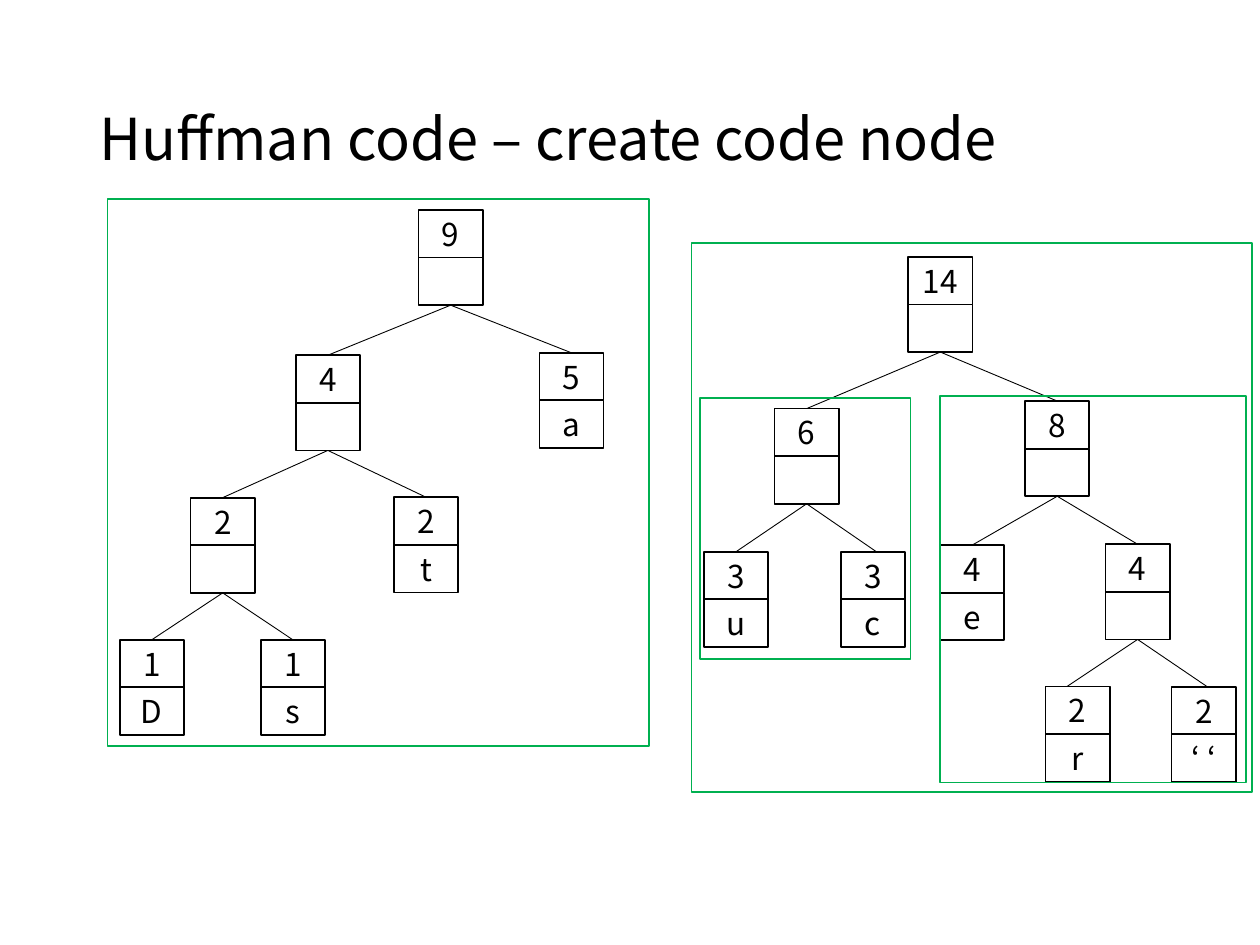
from dataclasses import dataclass

from lxml.etree import SubElement
from pptx import Presentation
from pptx.dml.color import RGBColor
from pptx.enum.shapes import MSO_CONNECTOR, MSO_SHAPE
from pptx.enum.text import MSO_ANCHOR, MSO_AUTO_SIZE, PP_ALIGN
from pptx.oxml.ns import qn
from pptx.util import Pt


@dataclass(frozen=True)
class Theme:
    """Colours, type sizes and line widths."""
    font: str = "Noto Sans CJK KR"
    ink: RGBColor = RGBColor(0, 0, 0)
    paper: RGBColor = RGBColor(255, 255, 255)
    frame: RGBColor = RGBColor(0x00, 0xB0, 0x50)
    title_size: float = 33
    node_size: float = 18
    outline: float = 1
    edge: float = 0.5


@dataclass(frozen=True)
class Node:
    """A Huffman tree node; edge_shift moves the end of its incoming edge."""
    count: str
    symbol: str
    left: float
    top: float
    children: tuple = ()
    edge_shift: float = 0


CELL_WIDTH, CELL_HEIGHT = 36.7, 27.2

LEFT_TREE = Node("9", "", 239.2, 120, (
    Node("4", "", 169, 203, (
        Node("2", "", 108.9, 284.4, (
            Node("1", "D", 68.4, 365.6),
            Node("1", "s", 149, 365.6))),
        Node("2", "t", 225.2, 284.2))),
    Node("5", "a", 308.2, 201.6)))

RIGHT_TREE = Node("14", "", 519, 146.8, (
    Node("6", "", 442.6, 233.5, (
        Node("3", "u", 402.2, 315.3),
        Node("3", "c", 480.5, 315.3, edge_shift=2))),
    Node("8", "", 585.8, 229.2, (
        Node("4", "e", 537.2, 311.5),
        Node("4", "", 631.7, 311, (
            Node("2", "r", 597.4, 392.3, edge_shift=-6),
            Node("2", "‘ ‘", 669.5, 392.4, edge_shift=2)))))))


class TreeSlide:
    """Holds the theme and the current slide, and draws its elements."""

    def __init__(self, slide, theme):
        """Keep the slide and its theme."""
        self.slide, self.theme = slide, theme

    def set_text(self, text_frame, text, size, alignment):
        """Put one formatted, vertically centred paragraph in a text frame."""
        text_frame.text = text
        text_frame.word_wrap = True
        text_frame.auto_size = MSO_AUTO_SIZE.NONE
        text_frame.vertical_anchor = MSO_ANCHOR.MIDDLE
        paragraph = text_frame.paragraphs[0]
        paragraph.alignment = alignment
        paragraph.font.name = self.theme.font
        paragraph.font.size = Pt(size)
        paragraph.font.color.rgb = self.theme.ink
        return paragraph

    def title(self, text, left, top, width, height):
        """Place and format the title placeholder."""
        title = self.slide.shapes.title
        title.left, title.top = Pt(left), Pt(top)
        title.width, title.height = Pt(width), Pt(height)
        paragraph = self.set_text(title.text_frame, text,
                                  self.theme.title_size, PP_ALIGN.LEFT)
        paragraph.line_spacing = 0.9

    def rectangle(self, shapes, left, top, width, height, color):
        """Add an unfilled outlined rectangle."""
        shape = shapes.add_shape(MSO_SHAPE.RECTANGLE, Pt(left), Pt(top),
                                 Pt(width), Pt(height))
        shape.shadow.inherit = False
        shape.fill.background()
        shape.line.color.rgb = color
        shape.line.width = Pt(self.theme.outline)
        return shape

    def frame(self, shapes, left, top, width, height):
        """Add a green frame around a subtree."""
        self.rectangle(shapes, left, top, width, height, self.theme.frame)

    def cell(self, shapes, text, left, top):
        """Add one white cell of a node."""
        shape = self.rectangle(shapes, left, top, CELL_WIDTH, CELL_HEIGHT,
                               self.theme.ink)
        shape.fill.solid()
        shape.fill.fore_color.rgb = self.theme.paper
        if text:
            text_frame = shape.text_frame
            text_frame.margin_left = text_frame.margin_right = Pt(0)
            text_frame.margin_top = text_frame.margin_bottom = Pt(0)
            self.set_text(text_frame, text, self.theme.node_size,
                          PP_ALIGN.CENTER)

    def edge(self, shapes, parent, child):
        """Join the bottom of a parent to the top of its child."""
        middle = CELL_WIDTH / 2
        connector = shapes.add_connector(
            MSO_CONNECTOR.STRAIGHT,
            Pt(parent.left + middle), Pt(parent.top + 2 * CELL_HEIGHT),
            Pt(child.left + middle + child.edge_shift), Pt(child.top))
        connector.line.color.rgb = self.theme.ink
        connector.line.width = Pt(self.theme.edge)
        SubElement(connector._element.spPr, qn("a:effectLst"))

    def tree(self, shapes, node):
        """Draw a node and, recursively, everything below it."""
        for row, text in enumerate((node.count, node.symbol)):
            self.cell(shapes, text, node.left, node.top + row * CELL_HEIGHT)
        for child in node.children:
            self.edge(shapes, node, child)
            self.tree(shapes, child)

    def framed_tree(self, root, *box):
        """Group a whole tree with its outer frame."""
        shapes = self.slide.shapes.add_group_shape().shapes
        self.tree(shapes, root)
        self.frame(shapes, *box)


def main():
    """Build and save the slide."""
    presentation = Presentation()
    presentation.slide_width, presentation.slide_height = Pt(720), Pt(540)
    slide = presentation.slides.add_slide(presentation.slide_layouts[5])
    page = TreeSlide(slide, Theme())
    page.title("Huffman code – create code node", 49.5, 28.8, 621, 104.4)
    page.framed_tree(LEFT_TREE, 61.4, 113.8, 309.6, 312.5)
    page.framed_tree(RIGHT_TREE, 395.2, 138.8, 320.4, 313.9)
    page.frame(slide.shapes, 400.2, 227.5, 120.2, 149)
    page.frame(slide.shapes, 537.2, 226.2, 175, 221)
    presentation.save("out.pptx")


main()
